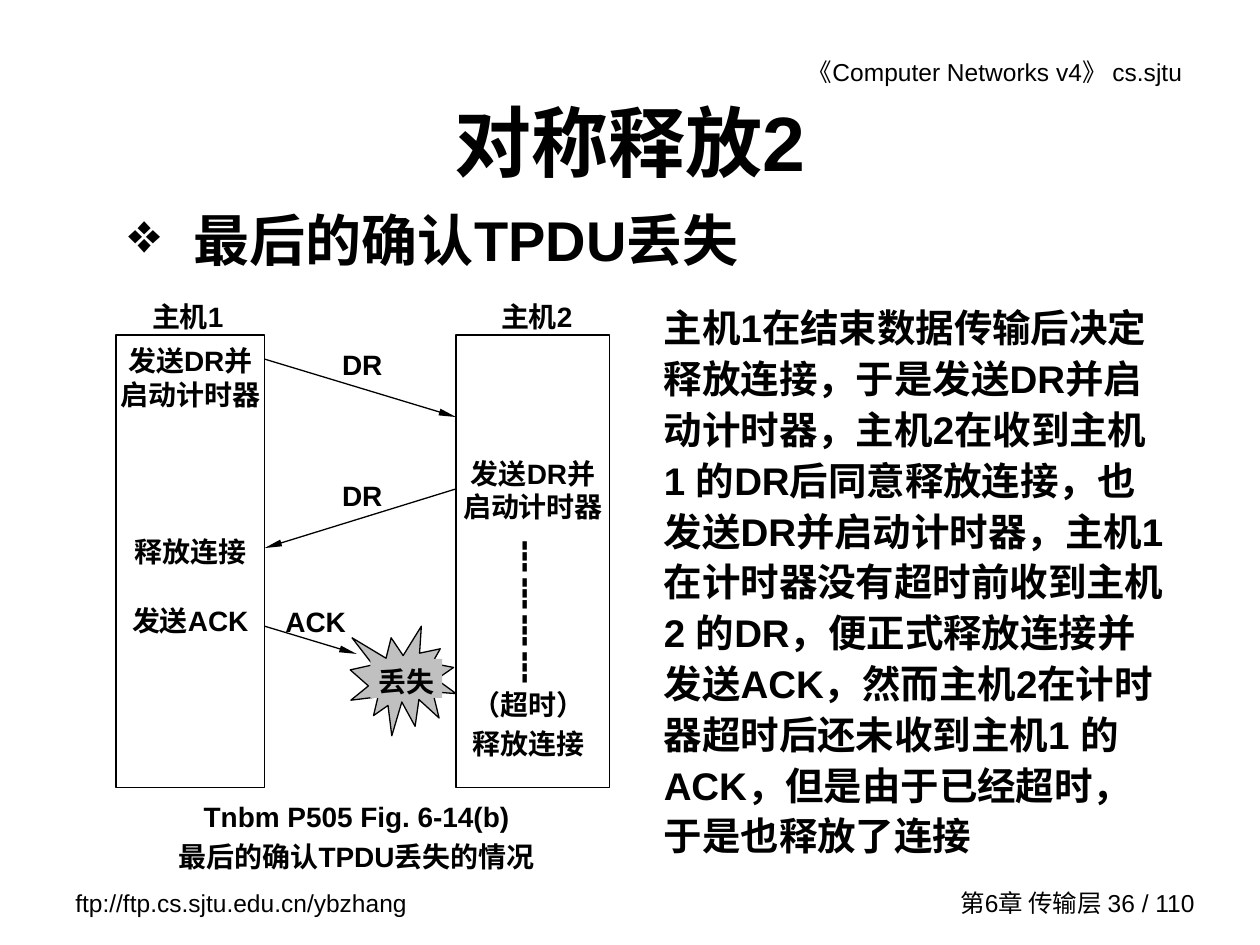
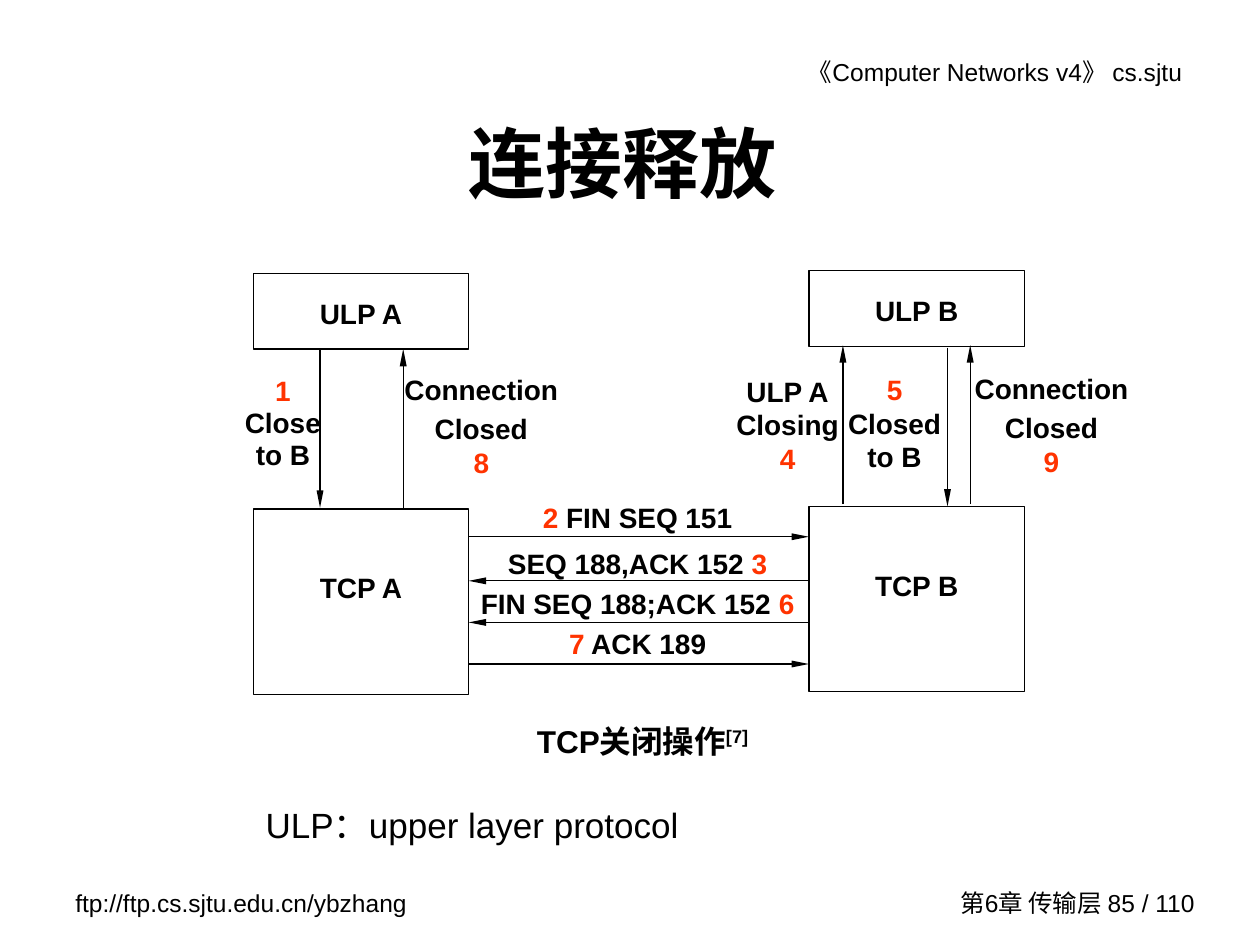
from pptx import Presentation
from pptx.dml.color import RGBColor as Rgb
from pptx.enum.lang import MSO_LANGUAGE_ID as Lang
from pptx.enum.shapes import MSO_CONNECTOR as Conn, MSO_SHAPE as Kind
from pptx.enum.text import MSO_ANCHOR as Anchor, PP_ALIGN as Align
from pptx.oxml.ns import qn
from pptx.util import Inches, Pt
from lxml.etree import SubElement as Sub

INK = {"text": "000000", "mark": "FF3300", "burst": "C0C0C0"}
FONT = "Arial"
EDGE = 0.75


def tint(name):
    """Return the named colour."""
    return Rgb.from_string(INK[name])


def style(run, size, bold):
    """Format a run; step numbers are red and references are raised."""
    font = run.font
    font.name, font.size, font.bold = FONT, Pt(size), bold
    font.language_id = Lang.SIMPLIFIED_CHINESE
    font.color.rgb = tint("mark" if run.text.strip().isdigit() else "text")
    if run.text.startswith("["):
        run._r.get_or_add_rPr().set("baseline", "30000")


def fill(frame, lines, size=16, bold=True, align=Align.CENTER,
         anchor=Anchor.TOP, pad=(0.04, 0.04), lead=None, gap=0):
    """Write lines into a frame, with | parting the runs of a line."""
    frame.word_wrap = True
    frame.vertical_anchor = anchor
    frame.margin_left = frame.margin_right = Inches(pad[0])
    frame.margin_top = frame.margin_bottom = Inches(pad[1])
    for num, line in enumerate(lines):
        para = frame.add_paragraph() if num else frame.paragraphs[0]
        first, *rest = line.split("|")
        para.text = first
        for piece in rest:
            para.add_run().text = piece
        para.alignment = align
        para._p.get_or_add_pPr().set("hangingPunct", "0")
        if lead:
            para.line_spacing = lead
        if gap and not num:
            para.space_after = Pt(gap)
        for run in para.runs:
            style(run, size, bold)


def label(slide, spot, *lines, **look):
    """Add a text box."""
    box = slide.shapes.add_textbox(*map(Inches, spot))
    fill(box.text_frame, lines, **look)


def shape(slide, spot, kind=Kind.RECTANGLE, back=None, edge=True):
    """Add a flat shape with a thin outline."""
    item = slide.shapes.add_shape(kind, *map(Inches, spot))
    item.shadow.inherit = False
    if back:
        item.fill.solid()
        item.fill.fore_color.rgb = tint(back)
    else:
        item.fill.background()
    if edge:
        item.line.color.rgb = tint("text")
        item.line.width = Pt(EDGE)
    else:
        item.line.fill.background()
    return item


def card(slide, spot, name, top):
    """Add a box with its name set down from the top."""
    frame = shape(slide, spot).text_frame
    fill(frame, [name])
    frame.margin_top = Inches(top)


def arrow(slide, *ends):
    """Add a thin arrow from one point to another."""
    line = slide.shapes.add_connector(Conn.STRAIGHT, *map(Inches, ends))
    line.line.color.rgb = tint("text")
    line.line.width = Pt(EDGE)
    Sub(line.line._get_or_add_ln(), qn("a:tailEnd"),
        type="triangle", w="sm", len="lg")
    Sub(line._element.spPr, qn("a:effectLst"))


def bullet(slide, spot, words):
    """Add a heading line with a diamond bullet."""
    box = slide.shapes.add_textbox(*map(Inches, spot))
    para = box.text_frame.paragraphs[0]
    props = para._p.get_or_add_pPr()
    props.set("marL", str(Inches(0.52)))
    props.set("indent", str(Inches(-0.52)))
    Sub(Sub(props, qn("a:buClr")), qn("a:srgbClr"), val=INK["text"])
    Sub(props, qn("a:buSzPct"), val="100000")
    Sub(props, qn("a:buChar"), char="❖")
    fill(box.text_frame, [words], size=32, align=Align.LEFT, pad=(0.1, 0.05))


def start(deck, page, title, spot):
    """Add a slide with its header, footers and title."""
    slide = deck.slides.add_slide(deck.slide_layouts[6])
    small = dict(size=14, bold=False, pad=(0.1, 0.05))
    label(slide, (5.28, 0.4, 4.2, 0.34), "《Computer Networks v4》 cs.sjtu",
          align=Align.RIGHT, **small)
    label(slide, (0.5, 7, 3.2, 0.34), "ftp://ftp.cs.sjtu.edu.cn/ybzhang",
          align=Align.LEFT, **small)
    label(slide, (7.32, 7, 2.26, 0.33), f"第6章 传输层 {page} / 110",
          align=Align.RIGHT, anchor=Anchor.MIDDLE, **small)
    label(slide, spot, title, size=44, anchor=Anchor.MIDDLE, pad=(0.1, 0.05))
    return slide


def hosts(slide):
    """Draw the two hosts and the messages between them."""
    for num, left, wide, shift in ((1, 0.92, 1.18, -0.02),
                                   (2, 3.62, 1.22, 0.03)):
        shape(slide, (left, 2.66, wide, 3.59))
        label(slide, (left + shift, 2.33, wide, 0.39), f"主机{num}",
              pad=(0.1, 0.05))
    for ends in ((2.1, 2.85, 3.62, 3.31), (3.62, 3.88, 2.1, 4.35),
                 (2.1, 4.97, 2.83, 5.19)):
        arrow(slide, *ends)
    start_up = "发送DR并启动计时器"
    label(slide, (0.92, 2.69, 1.18, 0.59), start_up, pad=(0, 0.04))
    label(slide, (3.62, 3.58, 1.22, 0.59), start_up)
    for top, words in ((4.2, "释放连接"), (4.75, "发送ACK")):
        label(slide, (0.92, top, 1.18, 0.44), words)
    for top in (2.72, 3.76):
        label(slide, (2.6, top, 0.55, 0.44), "DR")
    label(slide, (2.23, 4.71, 0.55, 0.44), "ACK",
          anchor=Anchor.MIDDLE, pad=(0, 0.04))
    shape(slide, (2.78, 4.97, 0.84, 0.87), Kind.EXPLOSION1, "burst")
    lost = shape(slide, (2.94, 5.23, 0.57, 0.31), back="burst", edge=False)
    fill(lost.text_frame, ["丢失"])
    label(slide, (3.62, 5.42, 1.15, 0.7), "（超时）", "释放连接", gap=3)
    label(slide, (4, 4.2, 0.44, 1.23), "┇┇┇┇", align=Align.JUSTIFY,
          pad=(0.1, 0.05), lead=1.1)


def release(deck):
    """Build the slide on symmetric release."""
    slide = start(deck, 36, "对称释放2", (0.75, 0.66, 8.5, 0.92))
    bullet(slide, (0.92, 1.58, 8.5, 0.75), "最后的确认TPDU丢失")
    hosts(slide)
    label(slide, (0.87, 6.25, 3.92, 0.74), "Tnbm P505 Fig. 6-14(b)",
          "最后的确认TPDU丢失的情况", lead=1.2)
    label(slide, (5.17, 2.33, 4.17, 4.94),
          "主机1在结束数据传输后决定释放连接，于是发送DR并启动计时器，"
          "主机2在收到主机1 的DR后同意释放连接，也发送DR并启动计时器，"
          "主机1 在计时器没有超时前收到主机2 的DR，便正式释放连接并发送ACK，"
          "然而主机2在计时器超时后还未收到主机1 的ACK，"
          "但是由于已经超时，于是也释放了连接",
          size=22, align=Align.LEFT, pad=(0.1, 0.05), lead=1.1)


def closing(deck):
    """Build the slide on closing a TCP connection."""
    slide = start(deck, 85, "连接释放", (0.69, 0.66, 8.5, 1.25))
    for side, left, top in (("A", 2.01, 2.17), ("B", 6.42, 2.15)):
        card(slide, (left, top, 1.71, 0.6), f"ULP {side}", 0.18)
        card(slide, (left, top + 1.87, 1.71, 1.47), f"TCP {side}", 0.49)
    for row, right in ((4.26, True), (4.61, False), (4.94, False), (5.27, True)):
        west, east = (3.72, 6.42) if right else (6.42, 3.72)
        arrow(slide, west, row, east, row)
    for left, head, tail in ((2.54, 2.77, 4.03), (3.2, 4.03, 2.77),
                             (6.69, 4, 2.74), (7.52, 2.76, 4.02),
                             (7.7, 4, 2.74)):
        arrow(slide, left, head, left, tail)
    wide = (0.1, 0.05)
    label(slide, (3.72, 3.87, 2.68, 1.48), "2| FIN SEQ 151",
          "SEQ 188,ACK 152 |3", "FIN SEQ 188;ACK 152 |6", "7| ACK 189",
          pad=(0.04, 0.05), lead=1.2, gap=3)
    label(slide, (1.75, 2.93, 0.99, 0.94), "1", "Close to B",
          pad=wide, lead=0.96)
    label(slide, (5.74, 2.92, 1.02, 0.94), "ULP A", "Closing", "4", pad=wide)
    label(slide, (6.63, 2.91, 0.94, 0.94), "5", "Closed to B", pad=wide)
    for spot, step in (((3.04, 2.91, 1.56, 0.94), 8),
                       ((7.7, 2.9, 1.29, 0.94), 9)):
        label(slide, spot, "Connection", "Closed", str(step),
              pad=(0.02, 0.05), gap=3)
    label(slide, (3.99, 5.68, 2.22, 0.43), "TCP关闭操作|[7]",
          size=18, pad=wide)
    label(slide, (2.01, 6.33, 4.67, 0.44), "ULP：upper layer protocol",
          size=20, bold=False, align=Align.LEFT, pad=wide)


def main():
    """Build and save the deck."""
    deck = Presentation()
    deck.slide_width, deck.slide_height = Inches(10), Inches(7.5)
    release(deck)
    closing(deck)
    deck.save("out.pptx")


if __name__ == "__main__":
    main()
